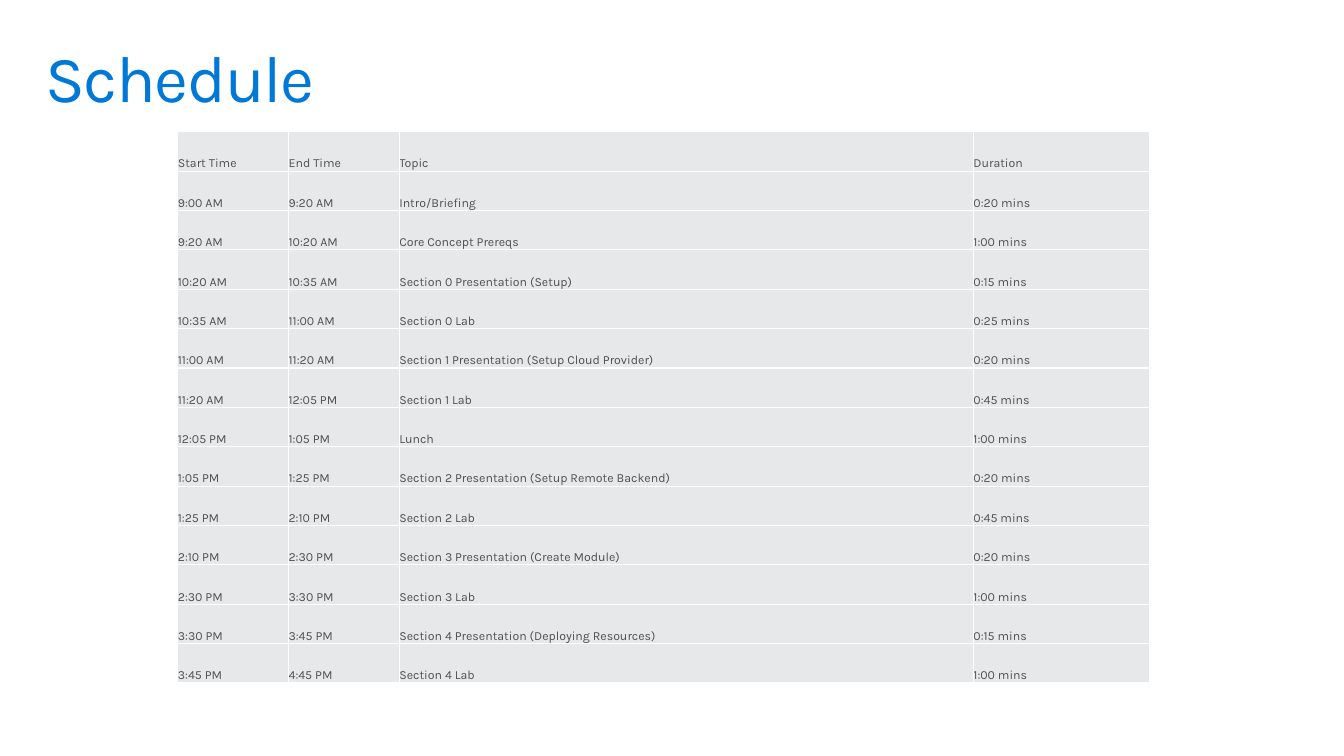
"""Build the schedule slide: a title over a table of session times."""
import pptx
import pptx.dml.color
import pptx.enum.text
import pptx.oxml.ns
import pptx.util
from lxml import etree

TITLE = "Schedule"
ROWS = [
    ("Start Time", "End Time", "Topic", "Duration"),
    ("9:00 AM", "9:20 AM", "Intro/Briefing", "0:20 mins"),
    ("9:20 AM", "10:20 AM", "Core Concept Prereqs", "1:00 mins"),
    ("10:20 AM", "10:35 AM", "Section 0 Presentation (Setup)", "0:15 mins"),
    ("10:35 AM", "11:00 AM", "Section 0 Lab", "0:25 mins"),
    ("11:00 AM", "11:20 AM", "Section 1 Presentation (Setup Cloud Provider)", "0:20 mins"),
    ("11:20 AM", "12:05 PM", "Section 1 Lab", "0:45 mins"),
    ("12:05 PM", "1:05 PM", "Lunch", "1:00 mins"),
    ("1:05 PM", "1:25 PM", "Section 2 Presentation (Setup Remote Backend)", "0:20 mins"),
    ("1:25 PM", "2:10 PM", "Section 2 Lab", "0:45 mins"),
    ("2:10 PM", "2:30 PM", "Section 3 Presentation (Create Module)", "0:20 mins"),
    ("2:30 PM", "3:30 PM", "Section 3 Lab", "1:00 mins"),
    ("3:30 PM", "3:45 PM", "Section 4 Presentation (Deploying Resources)", "0:15 mins"),
    ("3:45 PM", "4:45 PM", "Section 4 Lab", "1:00 mins"),
]
WIDTHS = (80.7, 80.7, 418.3, 128.2)
HEIGHT = 28.7
FONT = "Karla"
BLUE, GREY, PALE, WHITE = "0078D7", "505050", "E7E8E9", "FFFFFF"

Pt = pptx.util.Pt


def color(code):
    return pptx.dml.color.RGBColor.from_string(code)


def write(para, text, size, code):
    run = para.add_run()
    run.text = text
    run.font.name = FONT
    run.font.size = Pt(size)
    run.font.color.rgb = color(code)
    return run


def border(cell, code, width):
    qn = pptx.oxml.ns.qn
    props = cell._tc.get_or_add_tcPr()
    for side in ("lnL", "lnR", "lnT", "lnB"):
        line = etree.SubElement(props, qn(f"a:{side}"), w=str(Pt(width)))
        fill = etree.SubElement(line, qn("a:solidFill"))
        etree.SubElement(fill, qn("a:srgbClr"), val=code)


def add_title(slide):
    title = slide.shapes.title
    title.left, title.top = Pt(21.6), Pt(23)
    title.width, title.height = Pt(936), Pt(72)
    frame = title.text_frame
    frame.word_wrap = True
    frame.auto_size = pptx.enum.text.MSO_AUTO_SIZE.NONE
    frame.vertical_anchor = pptx.enum.text.MSO_ANCHOR.MIDDLE
    frame.margin_left = frame.margin_right = Pt(11.5)
    frame.margin_top = frame.margin_bottom = Pt(7.2)
    para = frame.paragraphs[0]
    para.alignment = pptx.enum.text.PP_ALIGN.LEFT
    para.line_spacing = 0.9
    run = write(para, TITLE, 48, BLUE)
    run._r.get_or_add_rPr().set("spc", "-100")


def add_table(slide):
    table = slide.shapes.add_table(
        len(ROWS), len(WIDTHS), Pt(129.6), Pt(96),
        Pt(sum(WIDTHS)), Pt(HEIGHT * len(ROWS))).table
    table.first_row = table.horz_banding = False
    for col, width in zip(table.columns, WIDTHS):
        col.width = Pt(width)
    for row, texts in zip(table.rows, ROWS):
        row.height = Pt(HEIGHT)
        for cell, text in zip(row.cells, texts):
            cell.margin_left = cell.margin_right = 0
            cell.margin_top = cell.margin_bottom = 0
            cell.vertical_anchor = pptx.enum.text.MSO_ANCHOR.BOTTOM
            border(cell, WHITE, 1)
            cell.fill.solid()
            cell.fill.fore_color.rgb = color(PALE)
            write(cell.text_frame.paragraphs[0], text, 9, GREY)


def main():
    deck = pptx.Presentation()
    deck.slide_width, deck.slide_height = Pt(979.2), Pt(550.8)
    slide = deck.slides.add_slide(deck.slide_layouts[5])
    add_title(slide)
    add_table(slide)
    deck.save("out.pptx")


if __name__ == "__main__":
    main()
